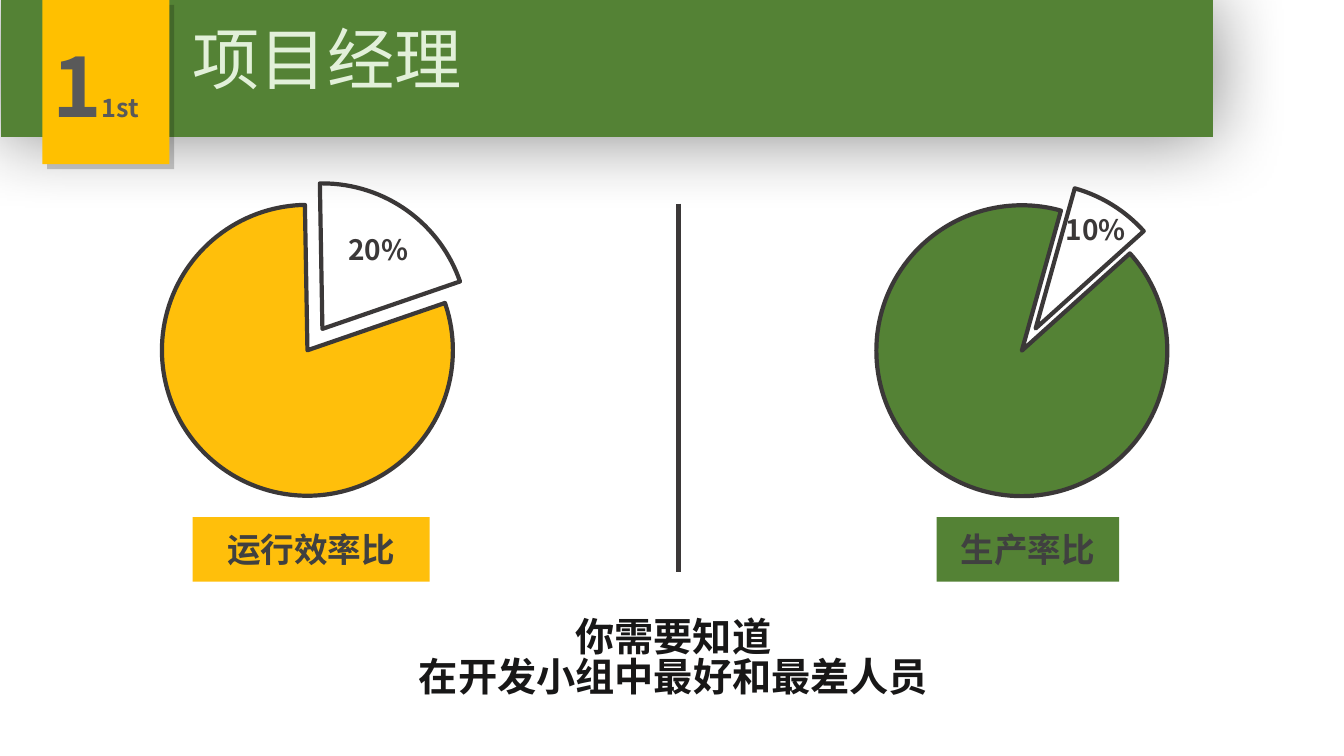
import pptx
import pptx.util
import pptx.chart.data
import pptx.dml.color
import pptx.enum.chart
import pptx.enum.shapes
import pptx.enum.text
import pptx.oxml
import pptx.oxml.ns

RGB = pptx.dml.color.RGBColor
GREEN = RGB(0x54, 0x82, 0x35)
AMBER = RGB(0xFF, 0xBF, 0x0B)
GOLD = RGB(0xFF, 0xC0, 0x00)
WHITE = RGB(0xFF, 0xFF, 0xFF)
DARK = RGB(0x3B, 0x38, 0x38)
INK = RGB(0x18, 0x17, 0x17)
LABEL = RGB(0x40, 0x40, 0x40)
NUMBER = RGB(0x59, 0x59, 0x59)
PALE = RGB(0xE2, 0xF0, 0xD9)

FONT = "Noto Sans CJK SC"
WIDTH = pptx.util.Inches(13.33)
HEIGHT = pptx.util.Inches(7.5)
ALIGN = pptx.enum.text.PP_ALIGN
ANCHOR = pptx.enum.text.MSO_ANCHOR
A_NS = pptx.oxml.ns.nsdecls("a")


def share(left, top, width, height):
    return [int(size * part / 100) for size, part in
            zip((WIDTH, HEIGHT, WIDTH, HEIGHT), (left, top, width, height))]


def set_attrs(obj, values):
    for name, value in values.items():
        setattr(obj, name, value)


def write(sp, lines, color, bold=True, align=ALIGN.CENTER,
          anchor=ANCHOR.TOP, spacing=0.85):
    tf = sp.text_frame
    set_attrs(tf, {"word_wrap": True, "vertical_anchor": anchor,
                   "auto_size": pptx.enum.text.MSO_AUTO_SIZE.NONE})
    for i, runs in enumerate(lines):
        p = tf.add_paragraph() if i else tf.paragraphs[0]
        set_attrs(p, {"alignment": align, "line_spacing": spacing,
                      "space_before": pptx.util.Pt(0)})
        for text, size in runs:
            r = p.add_run()
            r.text = text
            set_attrs(r.font, {"name": FONT, "size": pptx.util.Pt(size), "bold": bold})
            r.font.color.rgb = color
            ea = pptx.oxml.parse_xml(f'<a:ea {A_NS} typeface="{FONT}"/>')
            r.font._element.find(pptx.oxml.ns.qn("a:latin")).addnext(ea)


def add_text(s, box, lines, color, **style):
    write(s.shapes.add_textbox(*share(*box)), lines, color, **style)


def add_block(s, box, fill):
    sp = s.shapes.add_shape(pptx.enum.shapes.MSO_SHAPE.RECTANGLE, *share(*box))
    sp.shadow.inherit = False
    sp.fill.solid()
    sp.fill.fore_color.rgb = fill
    sp.line.fill.background()
    return sp


def add_shadow(sp, alpha, blur, dist, angle):
    effects = sp._element.spPr.find(pptx.oxml.ns.qn("a:effectLst"))
    effects.append(pptx.oxml.parse_xml(
        f'<a:outerShdw {A_NS} blurRad="{pptx.util.Pt(blur)}" '
        f'dist="{pptx.util.Pt(dist)}" dir="{angle * 60000}" algn="ctr" rotWithShape="0">'
        f'<a:srgbClr val="000000"><a:alpha val="{alpha * 1000}"/></a:srgbClr>'
        '</a:outerShdw>'))


def add_divider(s, x, top, bottom):
    x, top, _, bottom = share(x, top, 0, bottom)
    line = s.shapes.add_connector(
        pptx.enum.shapes.MSO_CONNECTOR.STRAIGHT, x, top, x, bottom)
    line.line.color.rgb = DARK
    line.line.width = pptx.util.Pt(3)
    line._element.spPr.append(pptx.oxml.parse_xml(f"<a:effectLst {A_NS}/>"))


def add_pie(s, left, values, color, start):
    data = pptx.chart.data.CategoryChartData()
    data.categories = ["1", "2", "3", "4"]
    data.add_series("Series 1", values + [None, None])
    chart = s.shapes.add_chart(pptx.enum.chart.XL_CHART_TYPE.PIE,
                               *share(left, 22.13, 38.48, 45.6), data).chart
    set_attrs(chart, {"has_legend": False, "has_title": False})
    set_attrs(chart.font, {"name": FONT, "size": pptx.util.Pt(10)})
    chart.font.color.rgb = RGB(0, 0, 0)
    plot = chart.plots[0]
    plot.vary_by_categories = True
    series = plot.series[0]
    for i, fill in enumerate((color, WHITE)):
        point = series.points[i].format
        point.fill.solid()
        point.fill.fore_color.rgb = fill
        point.line.color.rgb = DARK
        point.line.width = pptx.util.Pt(3)

    c_ns = pptx.oxml.ns.nsdecls("c")
    qn = pptx.oxml.ns.qn
    explosion = pptx.oxml.parse_xml(f'<c:explosion {c_ns} val="9"/>')
    series._element.find(qn("c:dPt")).addprevious(explosion)
    for dpt in series._element.findall(qn("c:dPt")):
        dpt.find(qn("c:spPr")).addprevious(
            pptx.oxml.parse_xml(f'<c:explosion {c_ns} val="9"/>'))
    pie = plot._element
    for old in pie.findall(qn("c:firstSliceAng")):
        pie.remove(old)
    pie.append(pptx.oxml.parse_xml(f'<c:firstSliceAng {c_ns} val="{start}"/>'))
    area = pie.getparent()
    for old in area.findall(qn("c:layout")):
        area.remove(old)
    area.insert(0, pptx.oxml.parse_xml(
        f'<c:layout {c_ns}><c:manualLayout><c:layoutTarget val="inner"/>'
        '<c:xMode val="edge"/><c:yMode val="edge"/><c:x val="0.19"/><c:y val="0.04"/>'
        '<c:w val="0.62"/><c:h val="0.92"/></c:manualLayout></c:layout>'))


def add_ratio(s, pie, percent, percent_box, label, label_box):
    add_pie(s, *pie)
    add_text(s, percent_box, [[(percent, 20)]], DARK)
    write(add_block(s, label_box, pie[2]), [[(label, 24)]], LABEL,
          anchor=ANCHOR.MIDDLE, spacing=1.0)


def add_header(s):
    add_shadow(add_block(s, (0.08, 0, 90.17, 18.13), GREEN), 48, 54, 0, 0)
    add_shadow(add_block(s, (3.15, 0, 9.45, 21.73), GOLD), 20, 0, 5, 45)
    header = {"align": ALIGN.LEFT, "spacing": 0.92}
    add_text(s, (3.15, 5.07, 10.43, 14.8), [[("1", 60), ("1st", 18)]], NUMBER, **header)
    title = s.shapes.title
    set_attrs(title, dict(zip(("left", "top", "width", "height"),
                              share(13.58, 2.67, 35.93, 12.13))))
    write(title, [[("项目经理", 48)]], PALE, bold=False, **header)
    s.shapes._spTree.append(title._element)


def main():
    prs = pptx.Presentation()
    set_attrs(prs, {"slide_width": WIDTH, "slide_height": HEIGHT})
    s = prs.slides.add_slide(prs.slide_layouts[5])
    add_divider(s, 50.49, 26.93, 75.73)
    add_text(s, (11.1, 81.33, 78.02, 13.87),
             [[("你需要知道", 28)], [("在开发小组中最好和最差人员", 28)]], INK)
    add_ratio(s, (57.31, [91, 9], GREEN, 48), "10%", (78.32, 28.13, 6.45, 5.87),
              "生产率比", (69.69, 68.4, 13.58, 8.53))
    add_ratio(s, (4.2, [80, 20], AMBER, 71), "20%", (24.91, 30.8, 6.45, 5.87),
              "运行效率比", (14.33, 68.4, 17.63, 8.53))
    add_header(s)
    prs.save("out.pptx")


if __name__ == "__main__":
    main()
